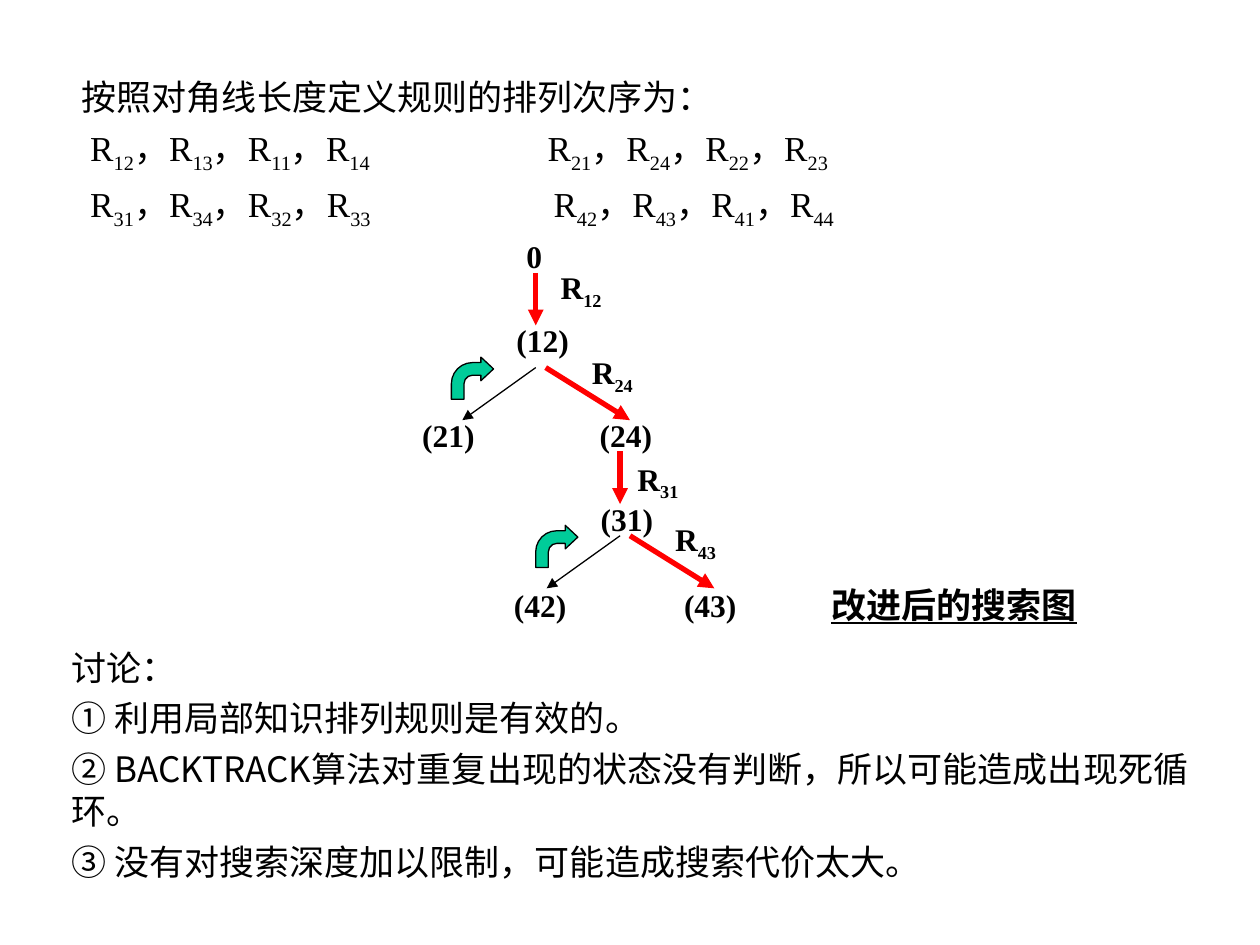
"""Build the slide showing the ordered rules, the improved search graph and its discussion."""
from dataclasses import dataclass

from lxml import etree
from pptx import Presentation
from pptx import util as u
from pptx.dml.color import RGBColor
from pptx.enum import shapes, text
from pptx.oxml.ns import qn


@dataclass(frozen=True)
class Theme:
    ink: RGBColor = RGBColor(0, 0, 0)
    chosen: RGBColor = RGBColor(0xFF, 0, 0)
    backtrack: RGBColor = RGBColor(0, 0xCC, 0x99)
    latin: str = "Times New Roman"
    chinese: str = "Noto Sans CJK SC"
    body: u.Pt = u.Pt(20)
    label: u.Pt = u.Pt(18)
    paragraph_gap: u.Pt = u.Pt(5)
    thick: u.Pt = u.Pt(3)
    thin: u.Pt = u.Pt(0.75)


theme = Theme()
presentation = Presentation()
presentation.slide_width, presentation.slide_height = u.Cm(25.4), u.Cm(19.05)
slide = presentation.slides.add_slide(presentation.slide_layouts[6])


def add_text(box, lines, size, font=theme.latin, bold=False, underline=None, tabs=()):
    """Add a text box; underscores enclose subscripts, tabs lists the stops of each line."""
    frame = slide.shapes.add_textbox(*map(u.Cm, box)).text_frame
    frame.word_wrap = True
    frame.auto_size = text.MSO_AUTO_SIZE.SHAPE_TO_FIT_TEXT
    for number, line in enumerate(lines):
        paragraph = frame.paragraphs[0] if number == 0 else frame.add_paragraph()
        if number:
            paragraph.space_before = theme.paragraph_gap
        if "\t" in line:
            tab_list = etree.SubElement(paragraph._p.get_or_add_pPr(), qn("a:tabLst"))
            for stop in tabs[number]:
                etree.SubElement(tab_list, qn("a:tab"), pos=str(u.Cm(stop)), algn="l")
        for index, piece in enumerate(line.split("_")):
            if not piece:
                continue
            run = paragraph.add_run()
            run.text = piece
            run.font.size, run.font.name = size, font
            run.font.bold, run.font.underline = bold, underline
            run.font.color.rgb = theme.ink
            properties = run.font._element
            etree.SubElement(properties, qn("a:ea"), typeface=theme.chinese)
            if index % 2:
                properties.set("baseline", "-25000")


def add_arrow(start, end, color, width):
    """Add a straight arrow between two points."""
    arrow = slide.shapes.add_connector(
        shapes.MSO_CONNECTOR.STRAIGHT, *map(u.Cm, (*start, *end)))
    arrow.line.color.rgb, arrow.line.width = color, width
    etree.SubElement(arrow.line._get_or_add_ln(), qn("a:tailEnd"), type="triangle")
    etree.SubElement(arrow._element.spPr, qn("a:effectLst"))


rule_rows = [
    [(12, 13, 11, 14), (21, 24, 22, 23)],
    [(31, 34, 32, 33), (42, 43, 41, 44)],
]
rule_lines = [
    "".join("\t" + "，".join(f"R_{rule}_" for rule in group) for group in row)
    for row in rule_rows
]
add_text((1.4, 1.4, 23.29, 3.38), ["按照对角线长度定义规则的排列次序为：", *rule_lines],
         theme.body, tabs=[(), (0.17, 9.39), (0.17, 9.51)])

discussion = [
    "讨论：",
    "① 利用局部知识排列规则是有效的。",
    "② BACKTRACK算法对重复出现的状态没有判断，所以可能造成出现死循环。",
    "③ 没有对搜索深度加以限制，可能造成搜索代价太大。",
]
add_text((1.19, 12.9, 23.42, 5.03), discussion, theme.body, font=theme.chinese)

nodes = [
    ("0", 10.36, 4.65), ("(12)", 10.16, 6.35), ("(21)", 8.26, 8.26), ("(24)", 11.84, 8.26),
    ("(31)", 11.86, 9.96), ("(42)", 10.11, 11.68), ("(43)", 13.54, 11.68),
]
for name, left, top in nodes:
    add_text((left, top, 2.12, 1.02), [name], theme.label, bold=True)

for x, stem_top, fork_top in [(10.8, 5.5, 7.41), (12.5, 9.1, 10.8)]:
    add_arrow((x, stem_top), (x, stem_top + 1.06), theme.chosen, theme.thick)
    add_arrow((x, fork_top), (x - 1.48, fork_top + 1.06), theme.ink, theme.thin)
    add_arrow((x + 0.2, fork_top), (x + 1.9, fork_top + 1.06), theme.chosen, theme.thick)
    turn = slide.shapes.add_shape(
        shapes.MSO_SHAPE.BENT_ARROW,
        u.Cm(x - 1.7), u.Cm(fork_top - 0.21), u.Cm(0.85), u.Cm(0.85))
    for index, ratio in enumerate((0.3, 0.28, 0.3, 0.5)):
        turn.adjustments[index] = ratio
    turn.shadow.inherit = False
    turn.fill.solid()
    turn.fill.fore_color.rgb = theme.backtrack
    turn.line.color.rgb, turn.line.width = theme.ink, theme.thin

for rule, left, top in [(12, 11.05, 5.28), (24, 11.68, 6.99), (31, 12.6, 9.14), (43, 13.36, 10.36)]:
    add_text((left, top, 1.8, 1.12), [f"R_{rule}_"], theme.label, bold=True)

add_text((16.51, 11.63, 7.19, 1.12), ["改进后的搜索图"], theme.body, bold=True, underline=True)

presentation.save("out.pptx")
